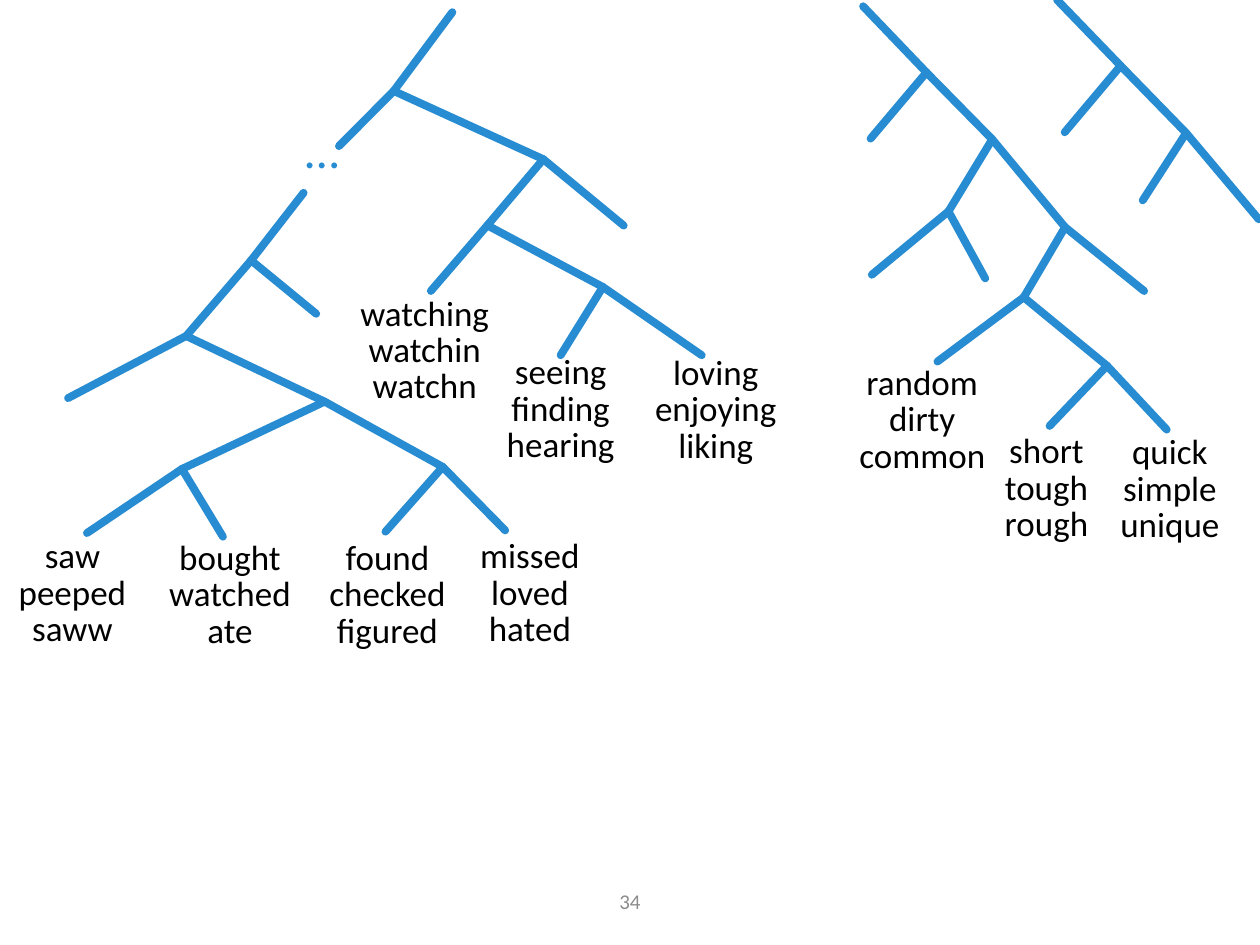
"""Build a slide of word cluster trees."""
from dataclasses import dataclass

from lxml import etree
from pptx import Presentation
from pptx.dml.color import RGBColor
from pptx.enum.shapes import MSO_CONNECTOR
from pptx.enum.text import MSO_ANCHOR, PP_ALIGN
from pptx.oxml.ns import qn
from pptx.util import Pt

STRAIGHT = MSO_CONNECTOR.STRAIGHT
TOP, MIDDLE = MSO_ANCHOR.TOP, MSO_ANCHOR.MIDDLE
CENTER = PP_ALIGN.CENTER


@dataclass(frozen=True)
class Theme:
    """Hold the colours, font and sizes."""
    font: str = "Calibri"
    blue: RGBColor = RGBColor(0x28, 0x8C, 0xD2)
    black: RGBColor = RGBColor(0, 0, 0)
    gray: RGBColor = RGBColor(0x8C, 0x8C, 0x8C)
    word: float = 20
    dots: float = 28
    number: float = 12
    stroke: float = 4.5
    tight: float = 0.7
    gap: float = 4


class Canvas:
    """Draw styled elements on the current slide."""

    def __init__(self, slide, theme):
        """Keep the slide and the theme."""
        self.slide = slide
        self.theme = theme

    def branch(self, start, end):
        """Draw one line with round ends."""
        line = self.slide.shapes.add_connector(
            STRAIGHT, *(Pt(value) for value in (*start, *end)))
        line.line.color.rgb = self.theme.blue
        line.line.width = Pt(self.theme.stroke)
        props = line._element.spPr
        props.find(qn("a:ln")).set("cap", "rnd")
        etree.SubElement(props, qn("a:effectLst"))

    def tree(self, node):
        """Draw the branches below a node, level by level."""
        x, y, *kids = node
        for kid in kids:
            self.branch((x, y), kid[:2])
            self.tree(kid)

    def text(self, box, lines, size, color, spacing=1.0, anchor=TOP):
        """Add centred lines of text in a box."""
        shape = self.slide.shapes.add_textbox(*(Pt(value) for value in box))
        frame = shape.text_frame
        frame.word_wrap = True
        frame.vertical_anchor = anchor
        frame.text = "\n".join(lines)
        for index, para in enumerate(frame.paragraphs):
            para.alignment = CENTER
            para.line_spacing = spacing
            para.space_before = Pt(self.theme.gap if index else 0)
            para.font.name = self.theme.font
            para.font.size = Pt(size)
            para.font.color.rgb = color

    def label(self, center, top, words):
        """Add a word cluster below a leaf."""
        width, height = 95, 73
        self.text((center - width / 2, top, width, height), words.split(),
                  self.theme.word, self.theme.black, self.theme.tight)


TREES = [
    (258.5, 7,
     (225, 52,
      (193.7, 83.5),
      (310.5, 91,
       (278.5, 128.8,
        (246.2, 166.3),
        (344.5, 164, (320.4, 203), (401, 203))),
       (356.4, 128.9)))),
    (173.5, 110.2,
     (143.5, 148.8,
      (106.4, 192,
       (38.9, 227.5),
       (185.5, 229.5,
        (104, 268, (49.7, 304.6), (127.4, 306.7)),
        (253, 266.8, (220.3, 303.8), (288.7, 303.1)))),
      (180.7, 179.3))),
    (493.2, 3.6,
     (529.4, 41.4,
      (497.5, 79.2),
      (567, 79.6,
       (542, 120.8, (498.2, 157), (563, 159.1)),
       (608.6, 129.8,
        (585, 169.9,
         (535.7, 206.6),
         (632.6, 209, (599.8, 243.4), (666.7, 245.5))),
        (653.8, 166.3))))),
    (604.1, 0,
     (640.4, 37.6,
      (608.4, 75.6),
      (677.8, 76, (653, 114.5), (719.3, 125.3)))),
]

LABELS = [
    (41.4, 308, "saw peeped saww"),
    (131.4, 309, "bought watched ate"),
    (221.4, 309, "found checked figured"),
    (302.8, 308, "missed loved hated"),
    (242.7, 169.4, "watching watchin watchn"),
    (320.4, 203, "seeing finding hearing"),
    (409, 203.3, "loving enjoying liking"),
    (527, 209, "random dirty common"),
    (598, 248, "short tough rough"),
    (668.5, 248.6, "quick simple unique"),
]


def main():
    """Build and save the slide."""
    deck = Presentation()
    deck.slide_width, deck.slide_height = Pt(720), Pt(540)
    theme = Theme()
    canvas = Canvas(deck.slides.add_slide(deck.slide_layouts[6]), theme)
    for tree in TREES:
        canvas.tree(tree)
    for label in LABELS:
        canvas.label(*label)
    canvas.text((159, 74, 50, 38), ["…"], theme.dots, theme.blue, theme.tight)
    canvas.text((246, 500.5, 228, 29), ["34"], theme.number, theme.gray,
                anchor=MIDDLE)
    deck.save("out.pptx")


if __name__ == "__main__":
    main()
